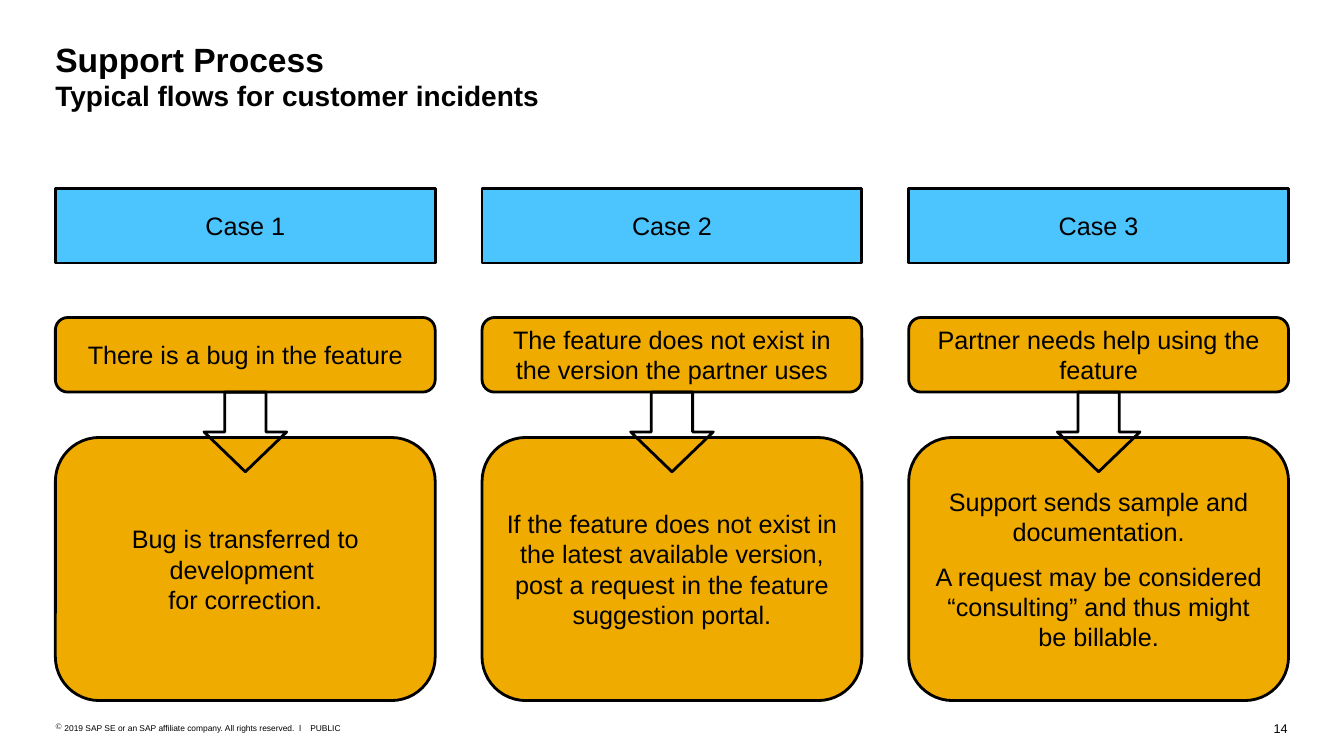
import lxml.etree
import pptx
import pptx.dml.color
import pptx.enum.shapes
import pptx.enum.text
import pptx.oxml.ns
import pptx.util

Inches, Pt = pptx.util.Inches, pptx.util.Pt
SHAPE = pptx.enum.shapes.MSO_SHAPE
ALIGN = pptx.enum.text.PP_ALIGN
ANCHOR = pptx.enum.text.MSO_ANCHOR
BLACK = pptx.dml.color.RGBColor(0x00, 0x00, 0x00)
BLUE = pptx.dml.color.RGBColor(0x4C, 0xC5, 0xFF)
AMBER = pptx.dml.color.RGBColor(0xF0, 0xAB, 0x00)

MARGIN = 0.55
COLUMN_WIDTH = 3.77
COLUMN_PITCH = 4.235
HEADER_HEIGHT = 0.74
ARROW_WIDTH = 0.82

CASES = [
    ("Case 1", "There is a bug in the feature",
     "Bug is transferred to development \vfor correction."),
    ("Case 2", "The feature does not exist in the version the partner uses",
     "If the feature does not exist in the latest available version, "
     "post a request in the feature suggestion portal."),
    ("Case 3", "Partner needs help using the feature",
     "Support sends sample and documentation.\n"
     "A request may be considered “consulting” and thus might be billable."),
]

deck = pptx.Presentation()
deck.slide_width, deck.slide_height = Inches(13.34), Inches(7.5)
slide = deck.slides.add_slide(deck.slide_layouts[6])


def add_label(text, left, top, width, height, size, align=ALIGN.LEFT, wrap=True):
    """Add a text box without margins and return its text frame."""
    box = slide.shapes.add_textbox(Inches(left), Inches(top), Inches(width), Inches(height))
    frame = box.text_frame
    frame.margin_left = frame.margin_right = frame.margin_top = frame.margin_bottom = 0
    frame.word_wrap = wrap
    frame.text = text
    frame.paragraphs[0].alignment = align
    for run in frame.paragraphs[0].runs:
        run.font.name, run.font.size, run.font.color.rgb = "Arial", Pt(size), BLACK
    return frame


def add_step(kind, left, top, width, height, fill=None, text=""):
    """Add an outlined shape, unfilled if no colour is given."""
    step = slide.shapes.add_shape(kind, Inches(left), Inches(top), Inches(width), Inches(height))
    step.shadow.inherit = False
    step.line.color.rgb, step.line.width = BLACK, Pt(2)
    if fill is None:
        step.fill.background()
    else:
        step.fill.solid()
        step.fill.fore_color.rgb = fill
    frame = step.text_frame
    frame.word_wrap = True
    frame.vertical_anchor = ANCHOR.MIDDLE
    frame.margin_left = frame.margin_right = Inches(0.1)
    frame.margin_top = frame.margin_bottom = Inches(0.08)
    frame.text = text
    for index, paragraph in enumerate(frame.paragraphs):
        paragraph.alignment = ALIGN.CENTER
        if index:
            paragraph.space_before = Pt(10)
        for run in paragraph.runs:
            run.font.name, run.font.size, run.font.color.rgb = "Arial", Pt(18), BLACK


# Title
title = add_label("Support Process\vTypical flows for customer incidents",
                  MARGIN, 0.38, 12.23, 0.74, 24)
title.vertical_anchor = ANCHOR.MIDDLE
heading, subheading = title.paragraphs[0].runs
heading.font.bold = subheading.font.bold = True
subheading.font.size = Pt(20)

# One column per case
for column, (case, finding, outcome) in enumerate(CASES):
    left = MARGIN + column * COLUMN_PITCH
    add_step(SHAPE.RECTANGLE, left, 1.87, COLUMN_WIDTH, HEADER_HEIGHT, BLUE, case)
    add_step(SHAPE.ROUNDED_RECTANGLE, left, 3.15, COLUMN_WIDTH, HEADER_HEIGHT, AMBER, finding)
    add_step(SHAPE.ROUNDED_RECTANGLE, left, 4.34, COLUMN_WIDTH, 2.61, AMBER, outcome)
    add_step(SHAPE.DOWN_ARROW, left + (COLUMN_WIDTH - ARROW_WIDTH) / 2, 3.89, ARROW_WIDTH, 0.79)

# Footer
notice = add_label("2019 SAP SE or an SAP affiliate company. All rights reserved.  ǀ",
                   MARGIN, 7.17, 2.48, 0.1, 6)
notice_format = notice.paragraphs[0]._p.get_or_add_pPr()
notice_format.set("marL", str(Inches(0.09)))
notice_format.set("indent", str(-Inches(0.09)))
bullet = lxml.etree.SubElement(notice_format, pptx.oxml.ns.qn("a:buChar"))
bullet.set("char", "©")
add_label("PUBLIC", 3.08, 7.17, 0.31, 0.1, 6, wrap=False)
add_label("14", 12.63, 7.15, 0.15, 0.15, 9, ALIGN.RIGHT, wrap=False)

deck.save("out.pptx")
